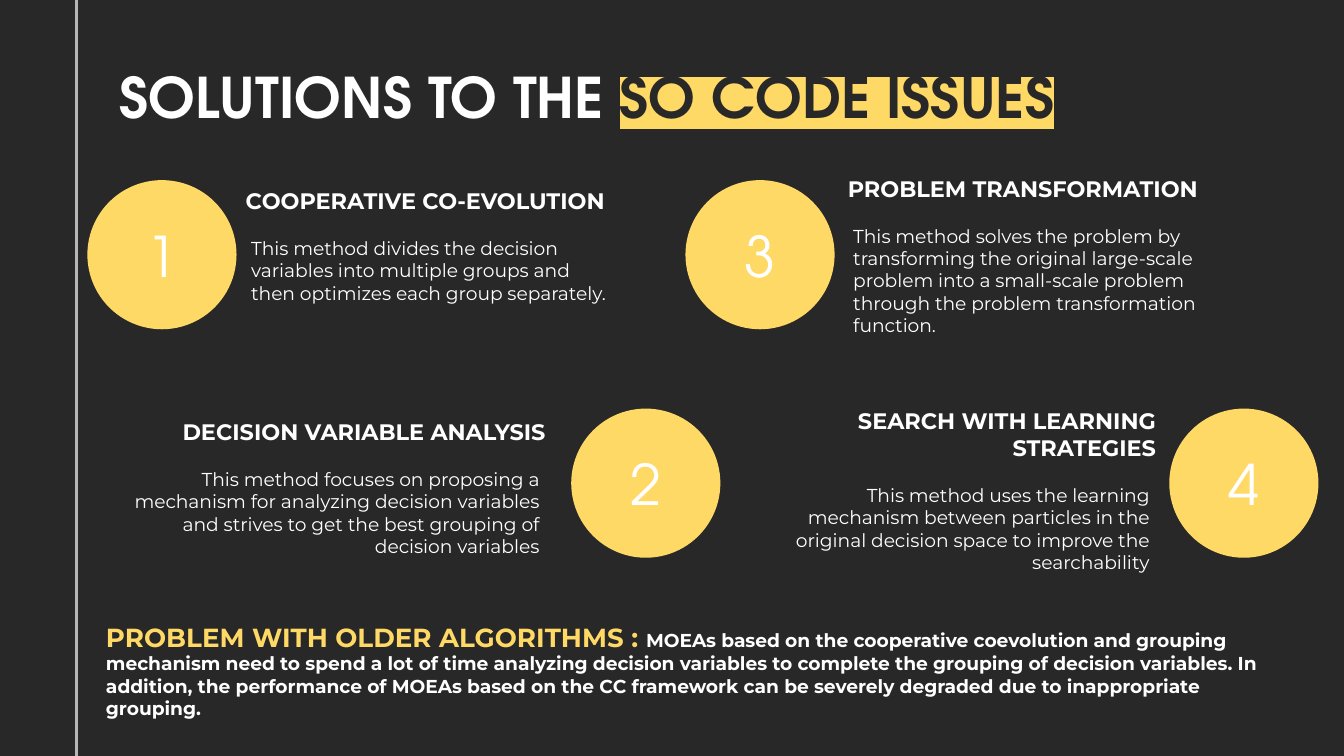
import pptx
import pptx.dml.color
import pptx.enum.shapes
import pptx.enum.text
import pptx.oxml
import pptx.oxml.ns
import pptx.util

Inches = pptx.util.Inches
ALIGN = pptx.enum.text.PP_ALIGN
ANCHOR = pptx.enum.text.MSO_ANCHOR
AUTO_SIZE = pptx.enum.text.MSO_AUTO_SIZE
SHAPE = pptx.enum.shapes.MSO_SHAPE

DARK, YELLOW, WHITE, GREY = "292828", "FFD966", "FFFFFF", "B7B7B7"
DISPLAY, BODY = "TeX Gyre Adventor", "Montserrat"
SLIDE_WIDTH = Inches(10)
SLIDE_HEIGHT = SLIDE_WIDTH * 9 // 16
CIRCLE_SIZE = 1.11
HEADING_WIDTH = 3.51

TITLE_FONT = {"name": DISPLAY, "size": pptx.util.Pt(30), "bold": True}
NUMBER_FONT = {"name": DISPLAY, "size": pptx.util.Pt(30), "bold": False}
HEADING_FONT = {"name": BODY, "size": pptx.util.Pt(12), "bold": True}
BODY_FONT = {"name": BODY, "size": pptx.util.Pt(10), "bold": False}
LABEL_FONT = {"name": BODY, "size": pptx.util.Pt(14), "bold": True}
NOTE_FONT = {"name": BODY, "size": pptx.util.Pt(10), "bold": True}

SOLUTIONS = [
    {"number": "1", "circle": (0.65, 1.34), "heading_at": (1.73, 1.29, 0.4),
     "align": ALIGN.LEFT, "heading": "COOPERATIVE CO-EVOLUTION",
     "body_size": (2.92, 0.71),
     "body": "This method divides the decision variables into multiple groups "
             "and then optimizes each group separately."},
    {"number": "3", "circle": (5.1, 1.34), "heading_at": (6.21, 1.2, 0.4),
     "align": ALIGN.LEFT, "heading": "PROBLEM TRANSFORMATION",
     "body_size": (3.05, 1.04),
     "body": "This method solves the problem by transforming the original "
             "large-scale problem into a small-scale problem through the "
             "problem transformation function."},
    {"number": "2", "circle": (4.25, 3.04), "heading_at": (0.65, 3.01, 0.4),
     "align": ALIGN.RIGHT, "heading": "DECISION VARIABLE ANALYSIS",
     "body_size": (3.42, 0.88),
     "body": "This method focuses on proposing a mechanism for analyzing "
             "decision variables and strives to get the best grouping of "
             "decision variables"},
    {"number": "4", "circle": (8.7, 3.04), "heading_at": (5.19, 2.93, 0.6),
     "align": ALIGN.RIGHT, "heading": "SEARCH WITH LEARNING STRATEGIES",
     "body_size": (2.99, 0.88),
     "body": "This method uses the learning mechanism between particles in the "
             "original decision space to improve the searchability"},
]


def color(value):
    return pptx.dml.color.RGBColor.from_string(value)


def set_values(target, values):
    for name, value in values.items():
        setattr(target, name, value)


def add_run(paragraph, text, font, font_color):
    run = paragraph.add_run()
    run.text = text
    set_values(run.font, font)
    run.font.color.rgb = color(font_color)
    return run


def highlight(run, value):
    element = pptx.oxml.parse_xml(
        f'<a:highlight {pptx.oxml.ns.nsdecls("a")}>'
        f'<a:srgbClr val="{value}"/></a:highlight>')
    fill = run.font._element.find(pptx.oxml.ns.qn("a:solidFill"))
    fill.addnext(element)


def format_frame(shape, anchor, align, auto_size=AUTO_SIZE.NONE):
    frame = shape.text_frame
    margins = ("margin_left", "margin_top", "margin_right", "margin_bottom")
    set_values(frame, dict.fromkeys(margins, Inches(0.1)))
    set_values(frame, {"word_wrap": True, "vertical_anchor": anchor,
                       "auto_size": auto_size})
    paragraph = frame.paragraphs[0]
    paragraph.alignment = align
    return paragraph


def add_filled_shape(slide, kind, box, fill):
    shape = slide.shapes.add_shape(kind, *map(Inches, box))
    shape.shadow.inherit = False
    shape.fill.solid()
    shape.fill.fore_color.rgb = color(fill)
    shape.line.fill.background()
    return shape


def add_text(slide, box, runs, align=ALIGN.LEFT):
    shape = slide.shapes.add_textbox(*map(Inches, box))
    paragraph = format_frame(shape, ANCHOR.TOP, align, AUTO_SIZE.SHAPE_TO_FIT_TEXT)
    for run in runs:
        add_run(paragraph, *run)


def add_title(slide):
    title = slide.shapes.title
    set_values(title, {"left": Inches(0.79), "top": Inches(0.4),
                       "width": Inches(8.43), "height": Inches(0.63)})
    paragraph = format_frame(title, ANCHOR.MIDDLE, ALIGN.LEFT)
    add_run(paragraph, "SOLUTIONS TO THE ", TITLE_FONT, WHITE)
    highlight(add_run(paragraph, "SO CODE ISSUES", TITLE_FONT, DARK), YELLOW)


def add_number(slide, number, position):
    box = (*position, CIRCLE_SIZE, CIRCLE_SIZE)
    circle = add_filled_shape(slide, SHAPE.OVAL, box, YELLOW)
    paragraph = format_frame(circle, ANCHOR.MIDDLE, ALIGN.CENTER)
    add_run(paragraph, number, NUMBER_FONT, WHITE)


def add_solution(slide, solution):
    left, top, height = solution["heading_at"]
    width, body_height = solution["body_size"]
    align = solution["align"]
    if align == ALIGN.LEFT:
        body_left = left + 0.04
    else:
        body_left = left + HEADING_WIDTH - 0.05 - width
    add_number(slide, solution["number"], solution["circle"])
    add_text(slide, (left, top, HEADING_WIDTH, height),
             [(solution["heading"], HEADING_FONT, WHITE)], align)
    add_text(slide, (body_left, top + height - 0.03, width, body_height),
             [(solution["body"], BODY_FONT, WHITE)], align)


def main():
    presentation = pptx.Presentation()
    set_values(presentation, {"slide_width": SLIDE_WIDTH,
                              "slide_height": SLIDE_HEIGHT})
    slide = presentation.slides.add_slide(presentation.slide_layouts[5])
    slide.background.fill.solid()
    slide.background.fill.fore_color.rgb = color(DARK)

    add_filled_shape(slide, SHAPE.RECTANGLE, (0.56, 0, 0.02, 5.65), GREY)
    add_title(slide)
    for solution in SOLUTIONS:
        add_solution(slide, solution)
    add_text(slide, (0.69, 4.52, 9.02, 0.94), [
        ("PROBLEM WITH OLDER ALGORITHMS : ", LABEL_FONT, YELLOW),
        ("MOEAs based on the cooperative coevolution and grouping mechanism "
         "need to spend a lot of time analyzing decision variables to complete "
         "the grouping of decision variables. In addition, the performance of "
         "MOEAs based on the CC framework can be severely degraded due to "
         "inappropriate grouping.", NOTE_FONT, WHITE),
    ])
    presentation.save("out.pptx")


if __name__ == "__main__":
    main()
